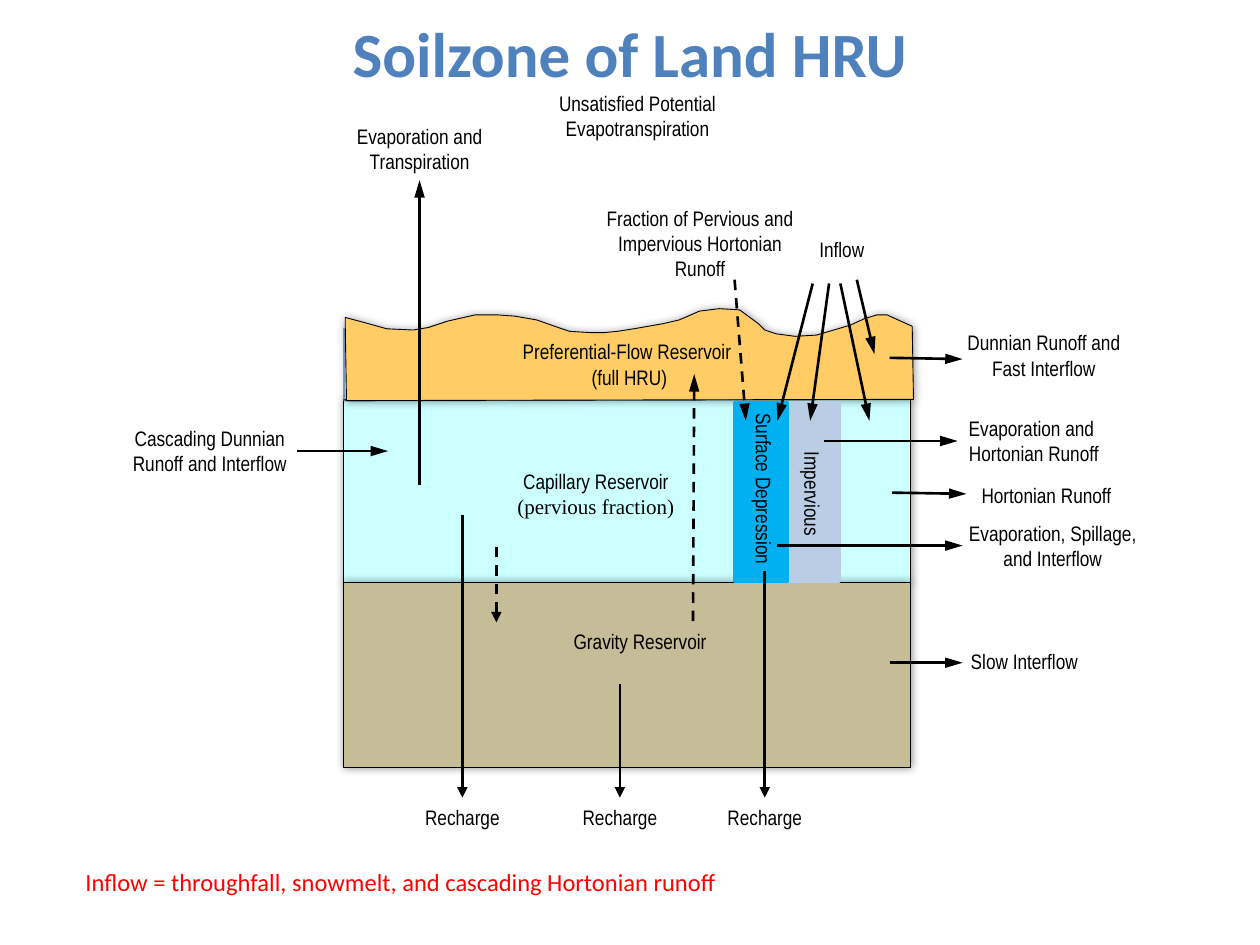
from dataclasses import dataclass

from lxml.etree import SubElement
from pptx import Presentation
from pptx.dml.color import RGBColor
from pptx.enum.dml import MSO_LINE
from pptx.enum.shapes import MSO_CONNECTOR, MSO_SHAPE
from pptx.enum.text import MSO_ANCHOR, MSO_AUTO_SIZE, PP_ALIGN
from pptx.oxml.ns import qn
from pptx.util import Emu, Pt

# The slide is a grid of 1000 columns by 750 rows of square cells
COLS, ROWS, CELL = 1000, 750, 9144


@dataclass(frozen=True)
class Theme:
    ink: str = "000000"
    title: str = "4F81BD"
    note: str = "FF0000"
    edge: str = "4B7EBC"
    top: str = "FFCC66"
    mid: str = "CCFFFF"
    base: str = "C4BD97"
    pond: str = "00B0F0"
    pave: str = "B9CDE5"
    font: str = "Arial Narrow"
    head: str = "Calibri"
    serif: str = "Times New Roman"
    small: int = 12
    large: int = 14
    huge: int = 36


LOOK = Theme()


def cells(*counts):
    return [Emu(round(n * CELL)) for n in counts]


def tint(code):
    return RGBColor.from_string(code)


def style(run, font, size, color, bold):
    run.font.name, run.font.size, run.font.bold = font, Pt(size), bold
    run.font.color.rgb = tint(color)


def fill_text(frame, text, font=LOOK.font, size=LOOK.small, color=LOOK.ink,
              bold=False, align=PP_ALIGN.CENTER, wrap=False, grow=True,
              anchor=MSO_ANCHOR.TOP, left=10, top=5, tail=None):
    """Set one paragraph per line; tail follows a line break in serif."""
    frame.word_wrap = wrap
    frame.auto_size = MSO_AUTO_SIZE.SHAPE_TO_FIT_TEXT if grow else MSO_AUTO_SIZE.NONE
    frame.vertical_anchor = anchor
    frame.margin_left, frame.margin_top = cells(left, top)
    for i, words in enumerate(text.split("\n")):
        para = frame.add_paragraph() if i else frame.paragraphs[0]
        para.alignment = align
        run = para.add_run()
        run.text = words
        style(run, font, size, color, bold)
    if tail:
        para.add_line_break()
        run = para.add_run()
        run.text = tail
        style(run, LOOK.serif, size, color, bold)


def label(host, box, text, turn=0, **form):
    shape = host.add_textbox(*cells(*box))
    fill_text(shape.text_frame, text, **form)
    shape.rotation = turn


def paint(shape, fill, line, width, glow=False):
    shape.shadow.inherit = False
    if fill:
        shape.fill.solid()
        shape.fill.fore_color.rgb = tint(fill)
    else:
        shape.fill.background()
    shape.line.color.rgb = tint(line)
    shape.line.width = Pt(width)
    if glow:
        effects = shape._element.spPr.find(qn("a:effectLst"))
        shade = SubElement(effects, qn("a:outerShdw"), blurRad=str(Pt(5)),
                           dist="0", dir="0", algn="ctr", rotWithShape="0")
        color = SubElement(shade, qn("a:srgbClr"), val=LOOK.ink)
        SubElement(color, qn("a:alpha"), val="40000")


def block(host, box, fill, line=LOOK.ink, width=0.5, glow=False):
    shape = host.add_shape(MSO_SHAPE.RECTANGLE, *cells(*box))
    paint(shape, fill, line, width, glow)


def outline(host, points, close):
    pen = host.build_freeform(*points[0], scale=CELL)
    pen.add_line_segments(points[1:], close=close)
    return pen.convert_to_shape()


def arrow(host, start, stop, dash=False, long=True):
    line = host.add_connector(MSO_CONNECTOR.STRAIGHT, *cells(*start, *stop))
    line.line.color.rgb = tint(LOOK.ink)
    line.line.width = Pt(1.5)
    if dash:
        line.line.dash_style = MSO_LINE.DASH
    props = line._element.spPr
    SubElement(props.find(qn("a:ln")), qn("a:tailEnd"), type="triangle",
               w="med", len="lg" if long else "med")
    SubElement(props, qn("a:effectLst"))


def strip(host, left, width, fill, box, text, **form):
    group = host.add_group_shape().shapes
    block(group, (left, 320, width, 141), fill, line=fill, width=2)
    label(group, box, text, turn=90, **form)


def layers(host):
    block(host, (273, 317, 450, 145), LOOK.mid, glow=True)
    block(host, (273, 462, 450, 147), LOOK.base, glow=True)
    rim = outline(host, [(273, 260), (273, 318), (723, 317)], False)
    paint(rim, None, LOOK.edge, 0.75)
    # Wavy ground surface, from right to left along the top
    ground = [
        (274, 259), (275, 318), (725, 317), (724, 259), (715, 255), (704, 250),
        (696, 250), (686, 253), (675, 258), (665, 261), (648, 266), (631, 267),
        (616, 265), (607, 262), (602, 257), (587, 246), (571, 245), (555, 247),
        (546, 251), (539, 254), (526, 257), (503, 261), (490, 263), (480, 264),
        (468, 264), (452, 263), (443, 260), (426, 254), (409, 251), (395, 250),
        (377, 250), (355, 255), (340, 260), (328, 262), (307, 261), (289, 256),
        (274, 252)]
    soil = outline(host, ground, True)
    paint(soil, LOOK.top, LOOK.ink, 0.5, glow=True)
    fill_text(soil.text_frame, "Preferential-Flow Reservoir \n(full HRU)",
              wrap=True, grow=False, anchor=MSO_ANCHOR.MIDDLE, top=20)
    strip(host, 625, 41, LOOK.pave, (601, 377, 88, 30), "Impervious")
    strip(host, 583, 42, LOOK.pond, (530, 373, 153, 30), "Surface Depression", wrap=True)


def flows(host):
    # Outflows to the right, cascade from the left, evaporation upward
    for start, stop in [
            ((706, 526), (764, 526)), ((706, 284), (764, 285)),
            ((617, 433), (764, 433)), ((654, 350), (760, 350)),
            ((708, 391), (767, 392)), ((236, 358), (308, 358)),
            ((333, 385), (333, 143))]:
        arrow(host, start, stop)
    # Inflow fan
    for start, stop in [((645, 225), (617, 334)), ((658, 225), (643, 334)),
                        ((667, 225), (690, 334)), ((680, 222), (694, 281))]:
        arrow(host, start, stop)
    # Exchange between reservoirs
    arrow(host, (550, 493), (551, 297), dash=True)
    arrow(host, (583, 222), (592, 334), dash=True)
    arrow(host, (394, 434), (394, 494), dash=True, long=False)
    # Recharge at the bottom
    for x, y in [(367, 409), (492, 543), (607, 453)]:
        arrow(host, (x, y), (x, 633), long=False)
        label(host, (x - 40, 634, 80, 30), "Recharge")


def labels(host):
    for box, text in [
            ((760, 510, 106, 30), "Slow Interflow"),
            ((757, 257, 143, 50), "Dunnian Runoff and\nFast Interflow"),
            ((758, 408, 155, 50), "Evaporation, Spillage,\nand Interflow"),
            ((758, 325, 125, 50), "Evaporation and \nHortonian Runoff"),
            ((768, 378, 125, 30), "Hortonian Runoff"),
            ((433, 67, 146, 50), "Unsatisfied Potential\nEvapotranspiration")]:
        label(host, box, text)
    for box, text in [
            ((83, 333, 167, 50), "Cascading Dunnian Runoff and Interflow"),
            ((427, 494, 162, 30), "Gravity Reservoir"),
            ((264, 93, 138, 49), "Evaporation and\nTranspiration")]:
        label(host, box, text, wrap=True)
    for box, text in [
            ((471, 158, 179, 63), "Fraction of Pervious and Impervious Hortonian Runoff"),
            ((604, 183, 138, 35), "Inflow")]:
        label(host, box, text, wrap=True, grow=False, left=0)
    label(host, (400, 367, 146, 50), "Capillary Reservoir", tail="(pervious fraction)")


def main():
    deck = Presentation()
    deck.slide_width, deck.slide_height = cells(COLS, ROWS)
    host = deck.slides.add_slide(deck.slide_layouts[6]).shapes
    layers(host)
    flows(host)
    labels(host)
    # Note and title
    label(host, (58, 683, 525, 34),
          "Inflow = throughfall, snowmelt, and cascading Hortonian runoff",
          font=LOOK.head, size=LOOK.large, color=LOOK.note, align=PP_ALIGN.LEFT)
    label(host, (0, 0, COLS, 83), "Soilzone of Land HRU", font=LOOK.head,
          size=LOOK.huge, color=LOOK.title, bold=True, wrap=True, grow=False,
          anchor=MSO_ANCHOR.MIDDLE)
    deck.save("out.pptx")


if __name__ == "__main__":
    main()
